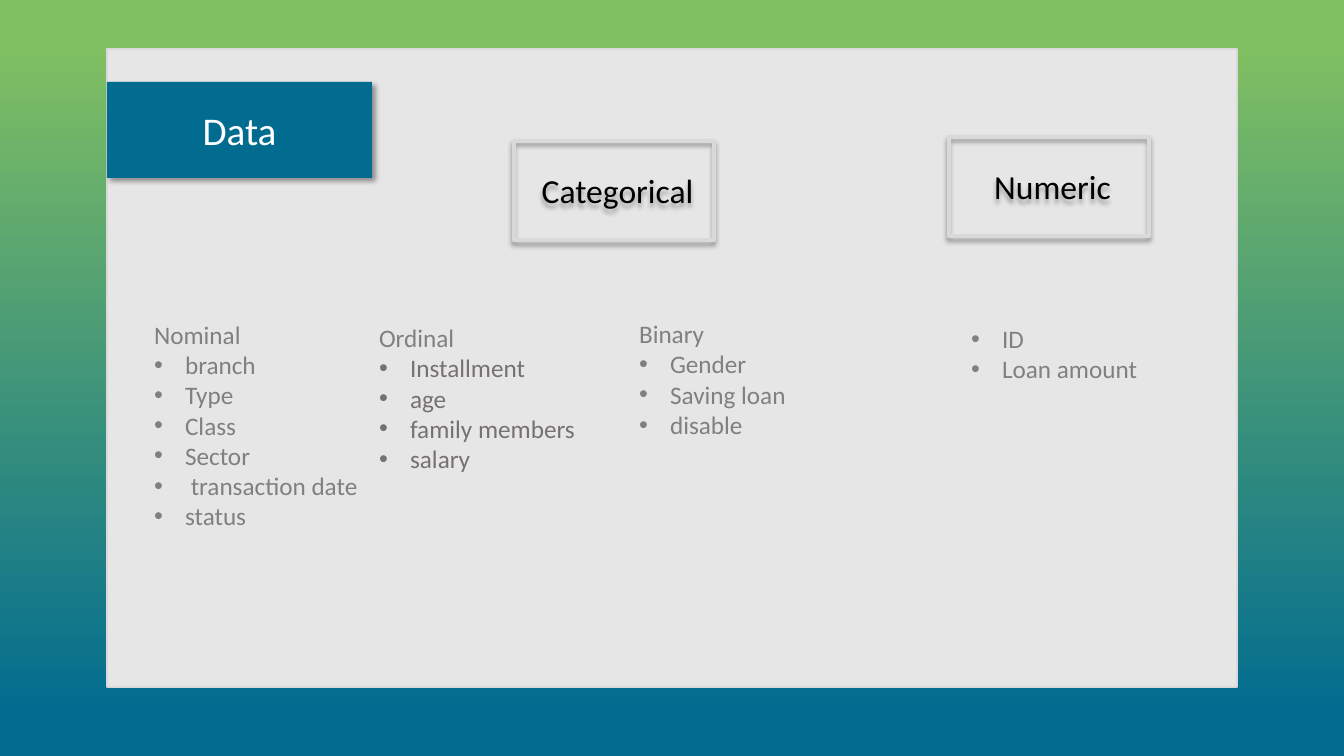
from lxml.etree import SubElement
from pptx import Presentation
from pptx.dml.color import RGBColor
from pptx.enum.shapes import MSO_SHAPE
from pptx.enum.text import MSO_ANCHOR, MSO_AUTO_SIZE, PP_ALIGN
from pptx.oxml.ns import qn
from pptx.util import Pt

PX = 914400 / 100.8
GREEN = RGBColor(0x80, 0xBF, 0x62)
TEAL = RGBColor(0x01, 0x6C, 0x90)
PANEL = RGBColor(0xE7, 0xE6, 0xE6)
BORDER = RGBColor(0xD9, 0xD9, 0xD9)
BLACK = RGBColor(0, 0, 0)
WHITE = RGBColor(0xFF, 0xFF, 0xFF)
GRAY = RGBColor(0x80, 0x80, 0x80)
DARK_GRAY = RGBColor(0x76, 0x71, 0x71)

COLUMN_TOP = 315
COLUMN_WIDTH = 260
INDENT = 31


def px(length):
    return round(length * PX)


def place(shape, box):
    shape.left, shape.top, shape.width, shape.height = map(px, box)


def write(paragraph, text, size=18, color=GRAY, align=PP_ALIGN.LEFT, bullet=False):
    """Fill one paragraph with a single formatted run."""
    paragraph.alignment = align
    paragraph.space_before = Pt(0)
    properties = paragraph._p.get_or_add_pPr()
    indent = px(INDENT) if bullet else 0
    properties.set("marL", str(indent))
    properties.set("indent", str(-indent))
    if bullet:
        SubElement(properties, qn("a:buFont"), typeface="Arial")
        SubElement(properties, qn("a:buChar"), char="•")
    else:
        SubElement(properties, qn("a:buNone"))
    run = paragraph.add_run()
    run.text = text
    run.font.name = "Calibri"
    run.font.size = Pt(size)
    run.font.bold = False
    run.font.color.rgb = color


def cast_shadow(shape, alpha, blur, distance, angle):
    """Give the shape a soft black shadow; alpha in percent, lengths in points."""
    shape.shadow.inherit = False
    effects = shape._element.spPr.find(qn("a:effectLst"))
    shadow = SubElement(effects, qn("a:outerShdw"), blurRad=str(Pt(blur)),
                        dist=str(Pt(distance)), dir=str(angle * 60000),
                        algn="tl", rotWithShape="0")
    black = SubElement(shadow, qn("a:srgbClr"), val=str(BLACK))
    SubElement(black, qn("a:alpha"), val=str(alpha * 1000))


def paint_background(slide):
    fill = slide.background.fill
    fill.gradient()
    fill.gradient_angle = 270
    for stop, position, color in zip(fill.gradient_stops, (0.06, 0.95), (GREEN, TEAL)):
        stop.position = position
        stop.color.rgb = color


def add_panel(slide, box):
    panel = slide.shapes.add_shape(MSO_SHAPE.RECTANGLE, *map(px, box))
    panel.shadow.inherit = False
    panel.fill.solid()
    panel.fill.fore_color.rgb = PANEL
    panel.line.color.rgb = BORDER
    panel.line.width = Pt(1)
    slide.shapes._spTree.insert(2, panel._element)


def format_title(title, text, box):
    """Turn the title placeholder into a filled arrow tag."""
    place(title, box)
    outline = SubElement(title._element.spPr, qn("a:prstGeom"), prst="homePlate")
    SubElement(outline, qn("a:avLst"))
    title.fill.solid()
    title.fill.fore_color.rgb = TEAL
    cast_shadow(title, 40, 4, 3, 45)
    frame = title.text_frame
    frame.auto_size = MSO_AUTO_SIZE.NONE
    frame.vertical_anchor = MSO_ANCHOR.MIDDLE
    write(frame.paragraphs[0], text, size=28, color=WHITE, align=PP_ALIGN.CENTER)


def add_category(slide, text, box):
    category = slide.shapes.add_shape(MSO_SHAPE.RECTANGLE, *map(px, box))
    category.fill.background()
    category.line.color.rgb = BORDER
    category.line.width = Pt(3)
    cast_shadow(category, 32, 3.5, 2.2, 90)
    frame = category.text_frame
    frame.margin_left = px(17)
    frame.vertical_anchor = MSO_ANCHOR.MIDDLE
    write(frame.paragraphs[0], text, size=24, color=BLACK, align=PP_ALIGN.CENTER)


def fill_column(column, heading, items, box, item_color=GRAY):
    place(column, box)
    frame = column.text_frame
    frame.word_wrap = True
    frame.auto_size = MSO_AUTO_SIZE.NONE
    frame.vertical_anchor = MSO_ANCHOR.MIDDLE
    lines = [(heading, GRAY, False)] if heading else []
    lines += [(item, item_color, True) for item in items]
    for number, (text, color, bullet) in enumerate(lines):
        paragraph = frame.add_paragraph() if number else frame.paragraphs[0]
        write(paragraph, text, color=color, bullet=bullet)


def build_data_slide(deck):
    slide = deck.slides.add_slide(deck.slide_layouts[4])
    paint_background(slide)
    add_panel(slide, (107, 49, 1130, 638))
    format_title(slide.shapes.title, "Data", (107, 82, 265, 96))
    add_category(slide, "Categorical", (514, 141, 200, 99))
    add_category(slide, "Numeric", (949, 137, 200, 99))
    columns = (
        ("Nominal", ("branch", "Type", "Class", "Sector", " transaction date", "status"),
         144, COLUMN_TOP, 220, GRAY),
        ("Ordinal", ("Installment", "age", "family members", "salary"),
         369, COLUMN_TOP, 166, DARK_GRAY),
        ("Binary", ("Gender", "Saving loan", "disable"), 629, COLUMN_TOP, 128, GRAY),
        (None, ("ID", "Loan amount"), 961, 311, 85, GRAY),
    )
    for index, (heading, items, left, top, height, color) in enumerate(columns, 1):
        fill_column(slide.placeholders[index], heading, items,
                    (left, top, COLUMN_WIDTH, height), item_color=color)


def main():
    deck = Presentation()
    deck.slide_width, deck.slide_height = px(1344), px(756)
    build_data_slide(deck)
    deck.save("out.pptx")


if __name__ == "__main__":
    main()
